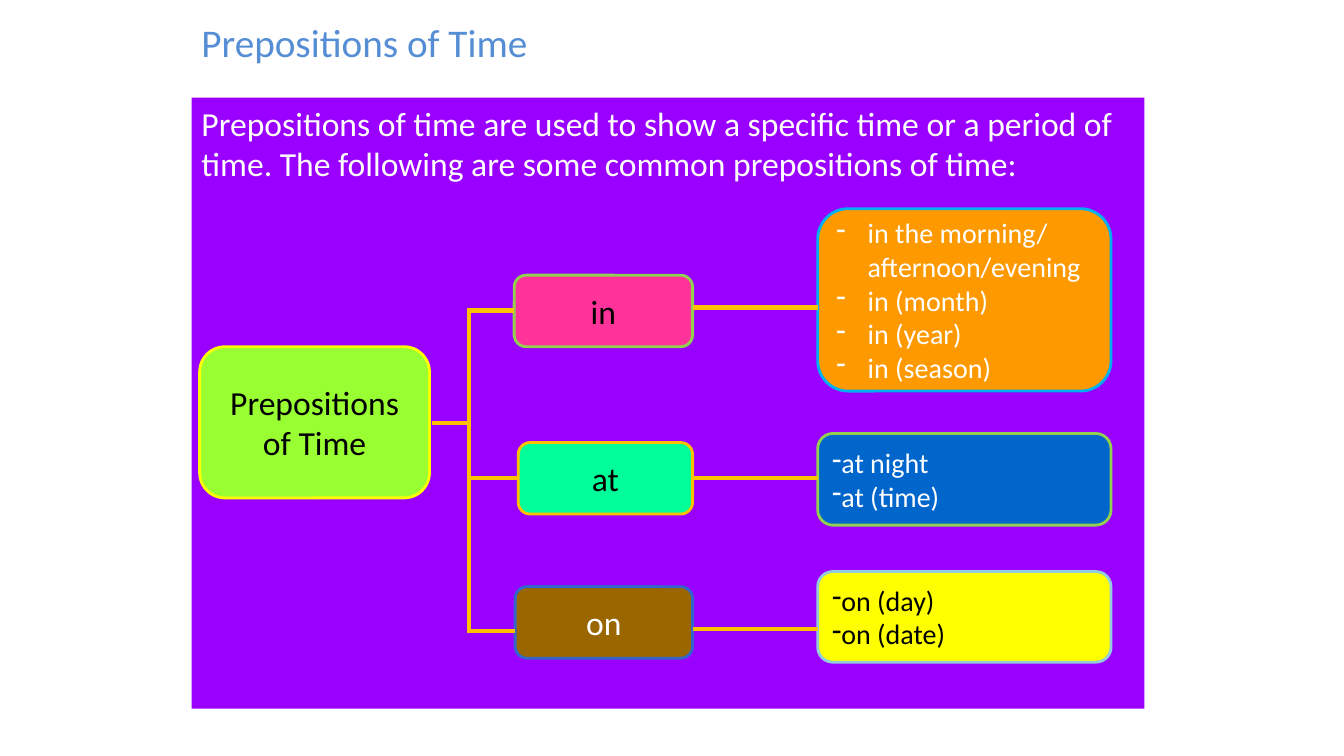
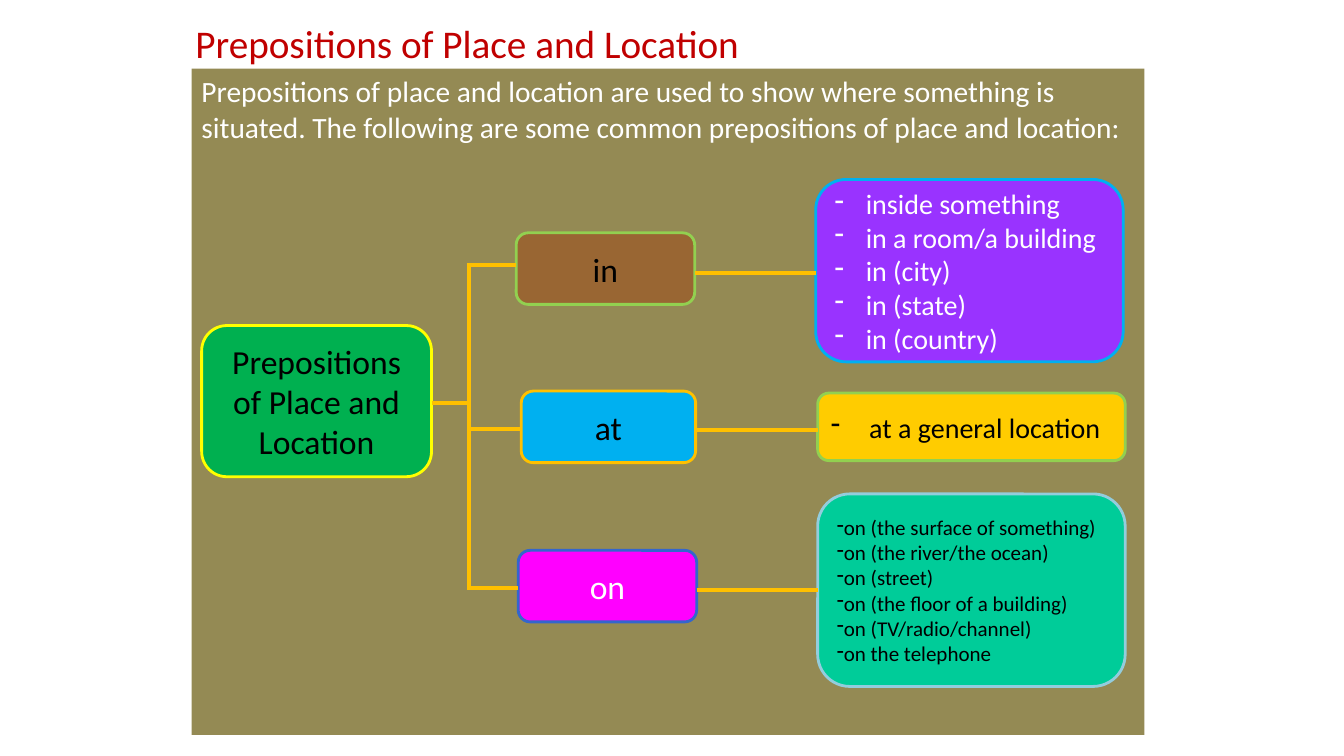
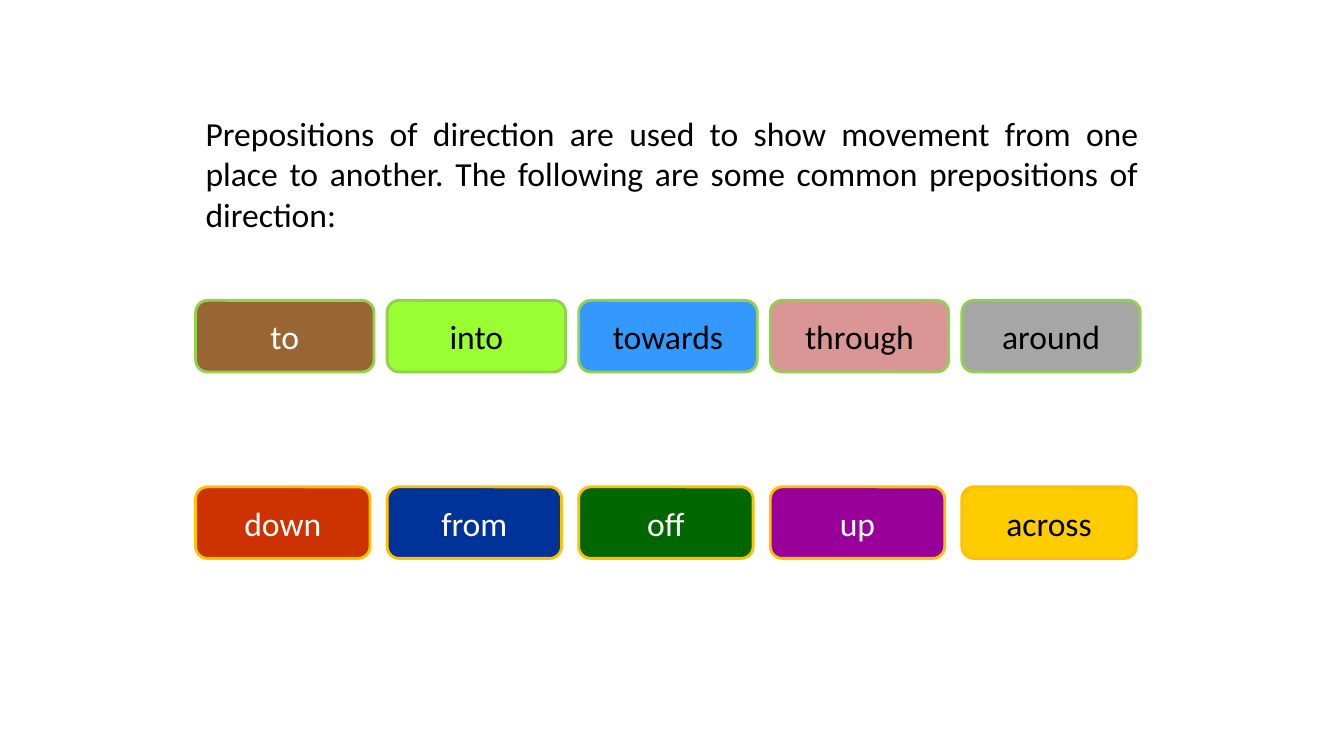
from lxml.etree import SubElement
from pptx import Presentation
from pptx.dml.color import RGBColor
from pptx.enum.shapes import MSO_CONNECTOR, MSO_SHAPE
from pptx.enum.text import MSO_ANCHOR, PP_ALIGN
from pptx.oxml.ns import qn
from pptx.util import Inches, Pt

COLOURS = {
    "white": "FFFFFF", "black": "000000", "title blue": "558ED5", "title red": "C00000",
    "violet": "9900FF", "olive": "948A54", "lime": "99FF33", "yellow": "FFFF00",
    "pink": "FF3399", "leaf": "92D050", "mint": "00FF99", "amber": "FFC000",
    "bronze": "996600", "royal": "3366CC", "orange": "FF9900", "sky": "00B0F0",
    "cobalt": "0066CC", "pale blue": "93CDDD", "green": "00B050", "brown": "996633",
    "magenta": "FF00FF", "purple": "9933FF", "gold": "FFCC00", "teal": "00CC99",
    "azure": "3399FF", "rose": "D99694", "grey": "A6A6A6", "brick": "CC3300",
    "navy": "003399", "forest": "006600", "plum": "990099",
}
RGB = {name: RGBColor.from_string(value) for name, value in COLOURS.items()}
FONT = "Calibri"
PANEL_LEFT, PANEL_WIDTH = 1.9, 9.45
WORD_HEIGHT = 0.71
SPINE_X = 4.65


def write(shape, lines, size, colour, align=PP_ALIGN.LEFT, anchor=MSO_ANCHOR.MIDDLE, dash=None):
    """Fill a shape with paragraphs; dash is the (margin, indent) of a dashed list."""
    frame = shape.text_frame
    frame.word_wrap = True
    frame.vertical_anchor = anchor
    frame.text = "\n".join(lines)
    for paragraph in frame.paragraphs:
        paragraph.alignment = align
        if dash:
            properties = paragraph._p.get_or_add_pPr()
            properties.set("marL", str(Inches(dash[0])))
            properties.set("indent", str(Inches(dash[1])))
            SubElement(properties, qn("a:buChar")).set("char", "-")
        for run in paragraph.runs:
            run.font.name = FONT
            run.font.size = Pt(size)
            run.font.color.rgb = RGB[colour]


def add_box(slide, bounds, fill, outline=None):
    """Add a rounded box, or a plain panel when there is no outline."""
    kind = MSO_SHAPE.ROUNDED_RECTANGLE if outline else MSO_SHAPE.RECTANGLE
    shape = slide.shapes.add_shape(kind, *map(Inches, bounds))
    shape.shadow.inherit = False
    shape.fill.solid()
    shape.fill.fore_color.rgb = RGB[fill]
    if outline:
        shape.line.color.rgb = RGB[outline]
        shape.line.width = Pt(2)
    else:
        shape.line.fill.background()
    return shape


presentation = Presentation()
presentation.slide_width, presentation.slide_height = Inches(13.33), Inches(7.5)
blank_layout = presentation.slide_layouts[6]

# Branches: word, word box, fill, outline, text colour,
# then list box, fill, outline, text colour, size, dash, lines.
# Each branch ends with the heights of its left and right connectors.
diagrams = [
    {
        "title": "Prepositions of Time", "title at": (1.9, 0.17), "title colour": "title blue",
        "panel": "violet", "top": 0.97, "height": 6.06, "intro size": 24,
        "intro": "Prepositions of time are used to show a specific time or a period of time. "
                 "The following are some common prepositions of time:",
        "root": "Prepositions of Time", "root at": (1.98, 3.44), "root fill": "lime",
        "stub": 4.2,
        "branches": [
            ("in", (5.1, 2.73, 1.77), "pink", "leaf", "black",
             (8.11, 2.07, 2.91, 1.81), "orange", "sky", "white", 20, (0.31, -0.31),
             ["in the morning/ afternoon/evening", "in (month)", "in (year)", "in (season)"],
             3.08, 3.05),
            ("at", (5.14, 4.39, 1.73), "mint", "amber", "black",
             (8.11, 4.3, 2.91, 0.91), "cobalt", "leaf", "white", 20, (0, -0.14),
             ["at night", "at (time)"], 4.74, 4.74),
            ("on", (5.11, 5.82, 1.76), "bronze", "royal", "white",
             (8.11, 5.67, 2.91, 0.9), "yellow", "pale blue", "black", 20, (0, -0.14),
             ["on (day)", "on (date)"], 6.26, 6.24),
        ],
    },
    {
        "title": "Prepositions of Place and Location", "title at": (1.84, 0.18),
        "title colour": "title red",
        "panel": "olive", "top": 0.68, "height": 6.61, "intro size": 21,
        "intro": "Prepositions of place and location are used to show where something is "
                 "situated. The following are some common prepositions of place and location:",
        "root": "Prepositions of Place and Location", "root at": (2, 3.23), "root fill": "green",
        "stub": 4,
        "branches": [
            ("in", (5.12, 2.31, 1.77), "brown", "leaf", "black",
             (8.09, 1.78, 3.05, 1.81), "purple", "sky", "white", 20, (0.31, -0.31),
             ["inside something", "in a room/a building", "in (city)", "in (state)",
              "in (country)"], 2.63, 2.71),
            ("at", (5.17, 3.88, 1.73), "sky", "amber", "black",
             (8.11, 3.9, 3.05, 0.67), "gold", "leaf", "black", 20, (0.38, -0.38),
             ["at a general location"], 4.26, 4.27),
            ("on", (5.14, 5.46, 1.77), "magenta", "royal", "white",
             (8.11, 4.9, 3.05, 1.91), "teal", "pale blue", "black", 15, (0, -0.1),
             ["on (the surface of something)", "on (the river/the ocean)", "on (street)",
              "on (the floor of a building)", "on (TV/radio/channel)", "on the telephone"],
             5.83, 5.85),
        ],
    },
]

for diagram in diagrams:
    slide = presentation.slides.add_slide(blank_layout)
    left, top = diagram["title at"]
    title = slide.shapes.add_textbox(Inches(left), Inches(top), Inches(8.89), Inches(0.5))
    write(title, [diagram["title"]], 28, diagram["title colour"])

    panel = add_box(slide, (PANEL_LEFT, diagram["top"], PANEL_WIDTH, diagram["height"]),
                    diagram["panel"])
    write(panel, [diagram["intro"]], diagram["intro size"], "white", anchor=MSO_ANCHOR.TOP)

    root = add_box(slide, (*diagram["root at"], 2.28, 1.5), diagram["root fill"], "yellow")
    write(root, [diagram["root"]], 24, "black", PP_ALIGN.CENTER)

    stub_y = diagram["stub"]
    branches = diagram["branches"]
    spine_top, spine_bottom = branches[0][-2], branches[-1][-2]
    links = [(4.28, stub_y, SPINE_X, stub_y),
             (SPINE_X, spine_top - 0.02, SPINE_X, spine_bottom + 0.02)]
    for (word, (left, top, width), fill, outline, colour,
         list_bounds, list_fill, list_outline, list_colour, size, dash, lines,
         left_y, right_y) in branches:
        word_box = add_box(slide, (left, top, width, WORD_HEIGHT), fill, outline)
        write(word_box, [word], 24, colour, PP_ALIGN.CENTER)
        list_box = add_box(slide, list_bounds, list_fill, list_outline)
        write(list_box, lines, size, list_colour, dash=dash)
        links += [(SPINE_X, left_y, left, left_y),
                  (left + width, right_y, list_bounds[0], right_y)]

    for link in links:
        connector = slide.shapes.add_connector(MSO_CONNECTOR.STRAIGHT, *map(Inches, link))
        connector.line.color.rgb = RGB["amber"]
        connector.line.width = Pt(3)
        SubElement(connector._element.spPr, qn("a:effectLst"))

slide = presentation.slides.add_slide(blank_layout)
intro = slide.shapes.add_textbox(Inches(1.94), Inches(1.07), Inches(PANEL_WIDTH), Inches(6.21))
write(intro, ["Prepositions of direction are used to show movement from one place to another. "
              "The following are some common prepositions of direction:"],
      24, "black", PP_ALIGN.JUSTIFY, MSO_ANCHOR.TOP)

direction_rows = [
    (2.98, 1.77, "leaf", [("to", "brown", "white"), ("into", "lime", "black"),
                          ("towards", "azure", "black"), ("through", "rose", "black"),
                          ("around", "grey", "black")]),
    (4.83, 1.73, "amber", [("down", "brick", "white"), ("from", "navy", "white"),
                           ("off", "forest", "white"), ("up", "plum", "white"),
                           ("across", "gold", "black")]),
]
for top, width, outline, words in direction_rows:
    for column, (word, fill, colour) in enumerate(words):
        word_box = add_box(slide, (1.94 + 1.9 * column, top, width, WORD_HEIGHT), fill, outline)
        write(word_box, [word], 24, colour, PP_ALIGN.CENTER)

presentation.save("out.pptx")
